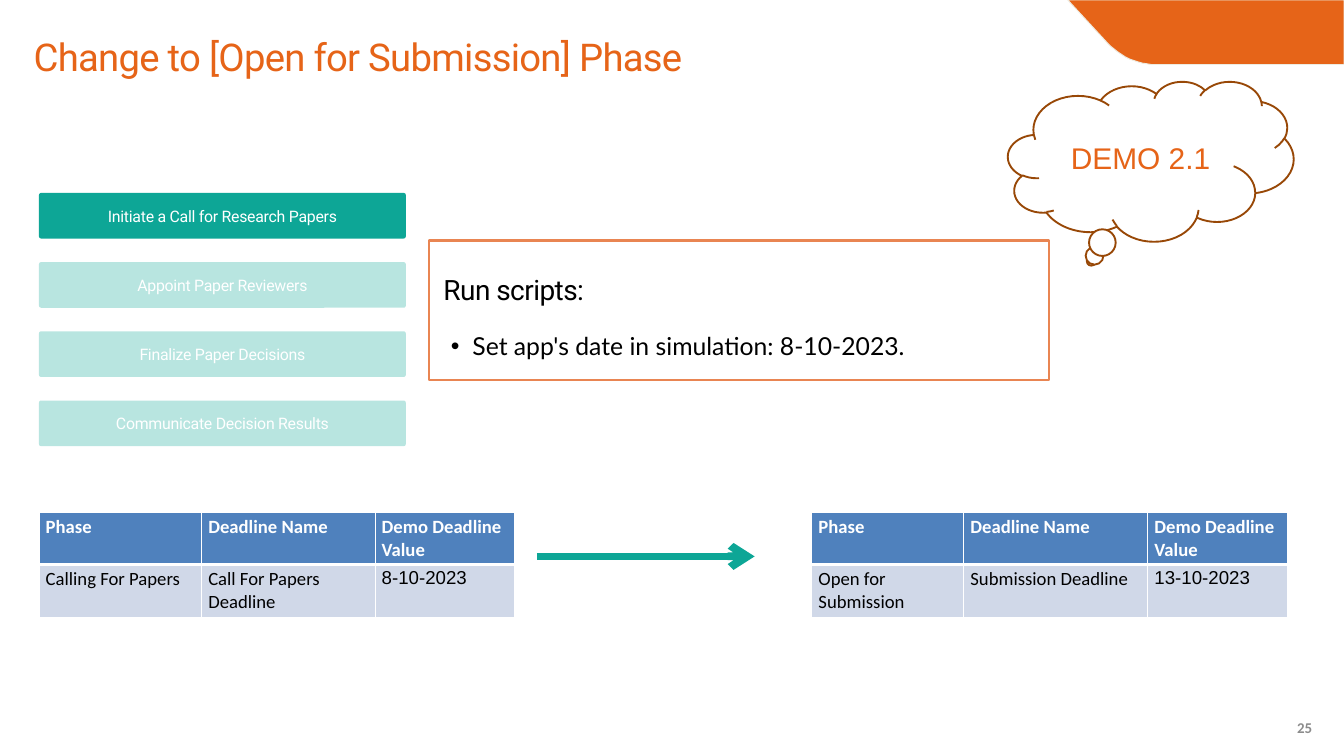
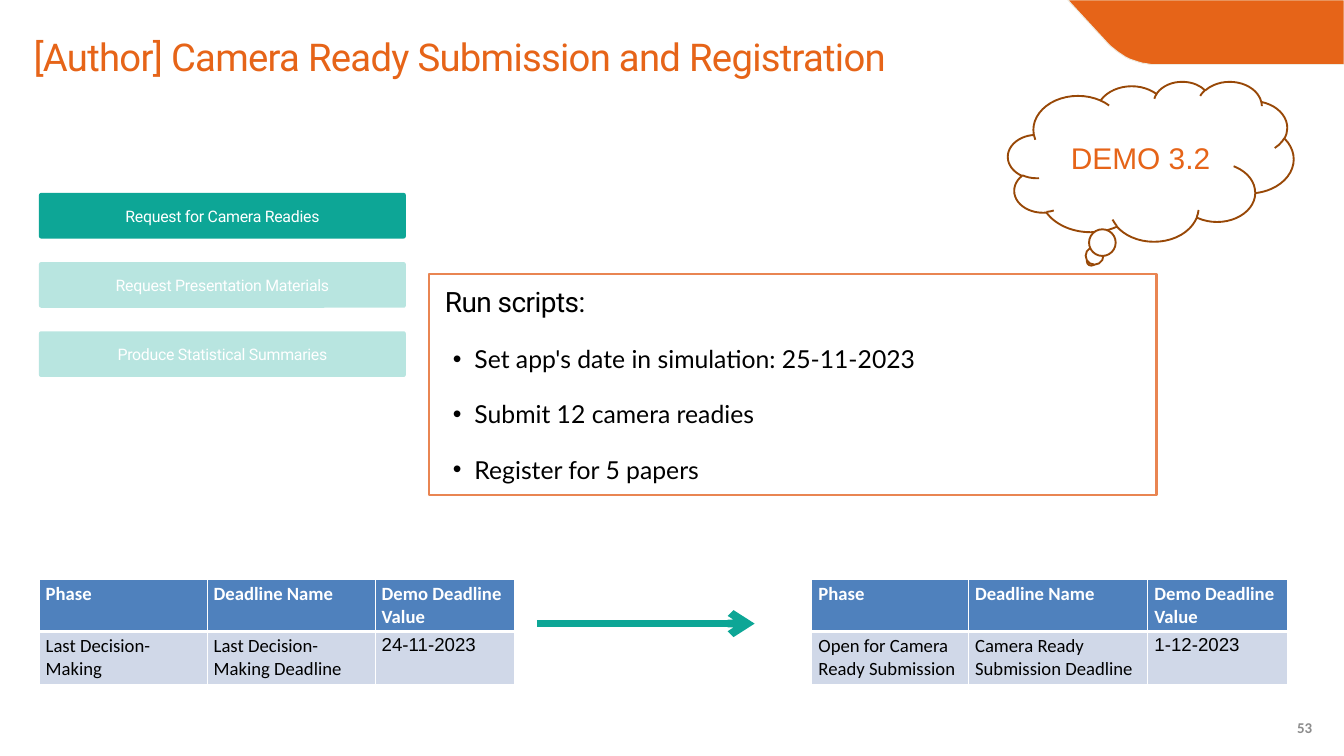
from dataclasses import dataclass, field

from lxml.etree import SubElement
from pptx import Presentation
from pptx.dml.color import RGBColor as RGB
from pptx.enum.shapes import MSO_CONNECTOR as CONN, MSO_SHAPE as SHAPE
from pptx.enum.text import MSO_ANCHOR as ANCHOR, MSO_AUTO_SIZE as AUTO, PP_ALIGN as ALIGN
from pptx.oxml.ns import qn
from pptx.util import Pt

PX = 9144
WIDTH, HEIGHT = 2000, 1125
LEFT = 58
CARD_TOP, CARD_PITCH = 287, 103
TABLE_HEIGHT = 153
TABLE_LEFTS = (LEFT, 1208)
HEADINGS = ("Phase", "Deadline Name", "Demo Deadline Value")


@dataclass(frozen=True)
class Theme:
    orange: str = "E66418"
    panel_line: str = "E98552"
    corner_line: str = "EEECE1"
    cloud_line: str = "984807"
    teal: str = "0DA696"
    white: str = "FFFFFF"
    header: str = "4F81BD"
    row: str = "D0D8E8"
    faded: int = 29
    text: dict = field(default_factory=lambda: {
        "title": dict(name="Roboto", size=41, color="E66418", spacing=-80, line=49.2),
        "heading": dict(name="Roboto", size=30, color="000000", spacing=-60, line=36),
        "list": dict(name="Lato", size=26.5, color="000000", line=59.1),
        "card": dict(name="Roboto", size=17, color="FFFFFF", spacing=-30, line=20.9),
        "cloud": dict(name="Arial", size=32, color="E66418"),
        "number": dict(name="Calibri", size=16, color="8C8C8C", bold=True),
        "header": dict(name="Calibri", size=20, color="FFFFFF", bold=True),
        "cell": dict(name="Calibri", size=20, color="000000", bold=False),
        "date": dict(name="Arial", size=20, color="000000", bold=False),
    })


def px(*lengths):
    return [round(n * PX) for n in lengths]


def set_all(target, values):
    for name, value in values.items():
        setattr(target, name, value)


class Deck:
    def __init__(self, theme):
        self.theme = theme
        self.prs = Presentation()
        self.prs.slide_width, self.prs.slide_height = px(WIDTH, HEIGHT)
        self.s = None

    def new_slide(self):
        self.s = self.prs.slides.add_slide(self.prs.slide_layouts[1])

    def add_text(self, p, text, style, align=ALIGN.LEFT):
        look = self.theme.text[style]
        p.alignment = align
        if "line" in look:
            p.line_spacing = Pt(look["line"])
        r = p.add_run()
        r.text = text
        set_all(r.font, dict(name=look["name"], size=Pt(look["size"]), bold=look.get("bold", False)))
        r.font.color.rgb = RGB.from_string(look["color"])
        if "spacing" in look:
            r._r.get_or_add_rPr().set("spc", str(look["spacing"]))

    def frame(self, sp, anchor=ANCHOR.TOP):
        tf = sp.text_frame
        set_all(tf, dict(word_wrap=True, auto_size=AUTO.NONE, vertical_anchor=anchor,
                         margin_left=0, margin_right=0, margin_top=0, margin_bottom=0))
        return tf

    def place(self, sp, box):
        set_all(sp, dict(zip(("left", "top", "width", "height"), px(*box))))

    def paint(self, sp, fill, line=None, weight=1):
        sp.shadow.inherit = False
        sp.fill.solid()
        sp.fill.fore_color.rgb = RGB.from_string(fill)
        if line:
            sp.line.color.rgb = RGB.from_string(line)
            sp.line.width = Pt(weight)
        else:
            sp.line.fill.background()

    def title(self, text):
        sp = self.s.shapes.title
        self.place(sp, (50, 49, 1792, 68))
        self.add_text(self.frame(sp).paragraphs[0], text, "title")

    def label(self, text, box, style, align=ALIGN.LEFT, anchor=ANCHOR.TOP):
        sp = self.s.shapes.add_textbox(*px(*box))
        self.add_text(self.frame(sp, anchor).paragraphs[0], text, style, align)

    def shape(self, kind, box, fill, line=None, weight=1):
        sp = self.s.shapes.add_shape(kind, *px(*box))
        self.paint(sp, fill, line, weight)
        return sp

    def bullets(self, items, box):
        sp = self.s.placeholders[1]
        self.place(sp, box)
        sp.element.getparent().append(sp.element)
        tf = self.frame(sp)
        for i, item in enumerate(items):
            p = tf.add_paragraph() if i else tf.paragraphs[0]
            set_all(p, dict(level=1, space_before=Pt(0)))
            pPr = p._p.get_or_add_pPr()
            pPr.set("marL", str(64 * PX))
            pPr.set("indent", str(-32 * PX))
            SubElement(pPr, qn("a:buFont"), typeface="Arial")
            SubElement(pPr, qn("a:buChar"), char="•")
            self.add_text(p, item, "list")

    def scripts(self, panel, heading, body, items):
        self.shape(SHAPE.RECTANGLE, panel, self.theme.white, self.theme.panel_line, 2.25)
        self.label("Run scripts:", heading, "heading")
        self.bullets(items, body)

    def cards(self, steps):
        for i, step in enumerate(steps):
            box = (LEFT, CARD_TOP + i * CARD_PITCH, 546, 68)
            sp = self.shape(SHAPE.ROUNDED_RECTANGLE, box, self.theme.teal)
            sp.adjustments[0] = 0.05
            if i:
                color = sp.element.spPr.find(qn("a:solidFill"))[0]
                SubElement(color, qn("a:alpha"), val=str(self.theme.faded * 1000))
            tf = self.frame(sp, ANCHOR.MIDDLE)
            self.add_text(tf.paragraphs[0], step, "card", ALIGN.CENTER)

    def cloud(self, text):
        sp = self.shape(SHAPE.CLOUD_CALLOUT, (1500, 121, 425, 238), self.theme.white,
                        self.theme.cloud_line, 2)
        tf = self.frame(sp, ANCHOR.MIDDLE)
        self.add_text(tf.paragraphs[0], text, "cloud", ALIGN.CENTER)

    def corner(self):
        bend = ((1648, 64), (1666, 84), (1693, 96), (1720, 96))
        steps = [i / 12 for i in range(13)]
        curve = [tuple((1 - t) ** 3 * a + 3 * (1 - t) ** 2 * t * b + 3 * (1 - t) * t ** 2 * c + t ** 3 * d
                       for a, b, c, d in zip(*bend)) for t in steps]
        outline = self.s.shapes.build_freeform(1589, 0, scale=PX)
        outline.add_line_segments(curve + [(WIDTH, 96), (WIDTH, 0)], close=True)
        self.paint(outline.convert_to_shape(), self.theme.orange, self.theme.corner_line)

    def arrow(self, y):
        line = self.s.shapes.add_connector(CONN.STRAIGHT, *px(799, y, 1123, y))
        line.line.color.rgb = RGB.from_string(self.theme.teal)
        line.line.width = Pt(8.25)
        SubElement(line.line._get_or_add_ln(), qn("a:tailEnd"), type="arrow")
        SubElement(line._element.spPr, qn("a:effectLst"))

    def cell(self, cell, text, style, fill, bottom):
        tcPr = cell._tc.get_or_add_tcPr()
        for side, weight in dict(L=1, R=1, T=1, B=bottom).items():
            ln = SubElement(tcPr, qn(f"a:ln{side}"), w=str(int(Pt(weight))))
            SubElement(SubElement(ln, qn("a:solidFill")), qn("a:srgbClr"), val=self.theme.white)
        cell.fill.solid()
        cell.fill.fore_color.rgb = RGB.from_string(fill)
        self.add_text(cell.text_frame.paragraphs[0], text, style)

    def table(self, left, top, widths, values):
        tbl = self.s.shapes.add_table(2, 3, *px(left, top, sum(widths), TABLE_HEIGHT)).table
        tbl.horz_banding = False
        value_styles = ("cell", "cell", "date")
        for i, width in enumerate(widths):
            tbl.columns[i].width = px(width)[0]
            self.cell(tbl.cell(0, i), HEADINGS[i], "header", self.theme.header, 3)
            self.cell(tbl.cell(1, i), values[i], value_styles[i], self.theme.row, 1)

    def phases(self, top, tables):
        self.arrow(top + 66)
        for left, (widths, values) in zip(TABLE_LEFTS, tables):
            self.table(left, top, widths, values)

    def demo(self, title, number, cloud, steps, scripts, top, tables):
        self.new_slide()
        self.title(title)
        self.scripts(**scripts)
        self.phases(top, tables)
        self.label(number, (1908, 1062, 67, 40), "number", ALIGN.CENTER, ANCHOR.MIDDLE)
        self.cloud(cloud)
        self.corner()
        self.cards(steps)


def main():
    deck = Deck(Theme())
    deck.demo(
        title="Change to [Open for Submission] Phase", number="25", cloud="DEMO 2.1",
        steps=("Initiate a Call for Research Papers", "Appoint Paper Reviewers",
               "Finalize Paper Decisions", "Communicate Decision Results"),
        scripts=dict(panel=(639, 358, 922, 207), heading=(660, 406, 896, 50),
                     body=(639, 455, 896, 72),
                     items=("Set app's date in simulation: 8-10-2023.",)),
        top=762,
        tables=(((242, 258, 208), ("Calling For Papers", "Call For Papers Deadline", "8-10-2023")),
                ((226, 274, 208), ("Open for Submission", "Submission Deadline", "13-10-2023"))))
    deck.demo(
        title="[Author] Camera Ready Submission and Registration", number="53", cloud="DEMO 3.2",
        steps=("Request for Camera Readies", "Request Presentation Materials",
               "Produce Statistical Summaries"),
        scripts=dict(panel=(639, 408, 1082, 329), heading=(662, 424, 896, 50),
                     body=(642, 474, 1035, 235),
                     items=("Set app's date in simulation: 25-11-2023",
                            "Submit 12 camera readies", "Register for 5 papers")),
        top=862,
        tables=(((250, 250, 208), ("Last Decision-Making", "Last Decision-Making Deadline", "24-11-2023")),
                ((233, 267, 208), ("Open for Camera Ready Submission",
                                   "Camera Ready Submission Deadline", "1-12-2023"))))
    deck.prs.save("out.pptx")


if __name__ == "__main__":
    main()
